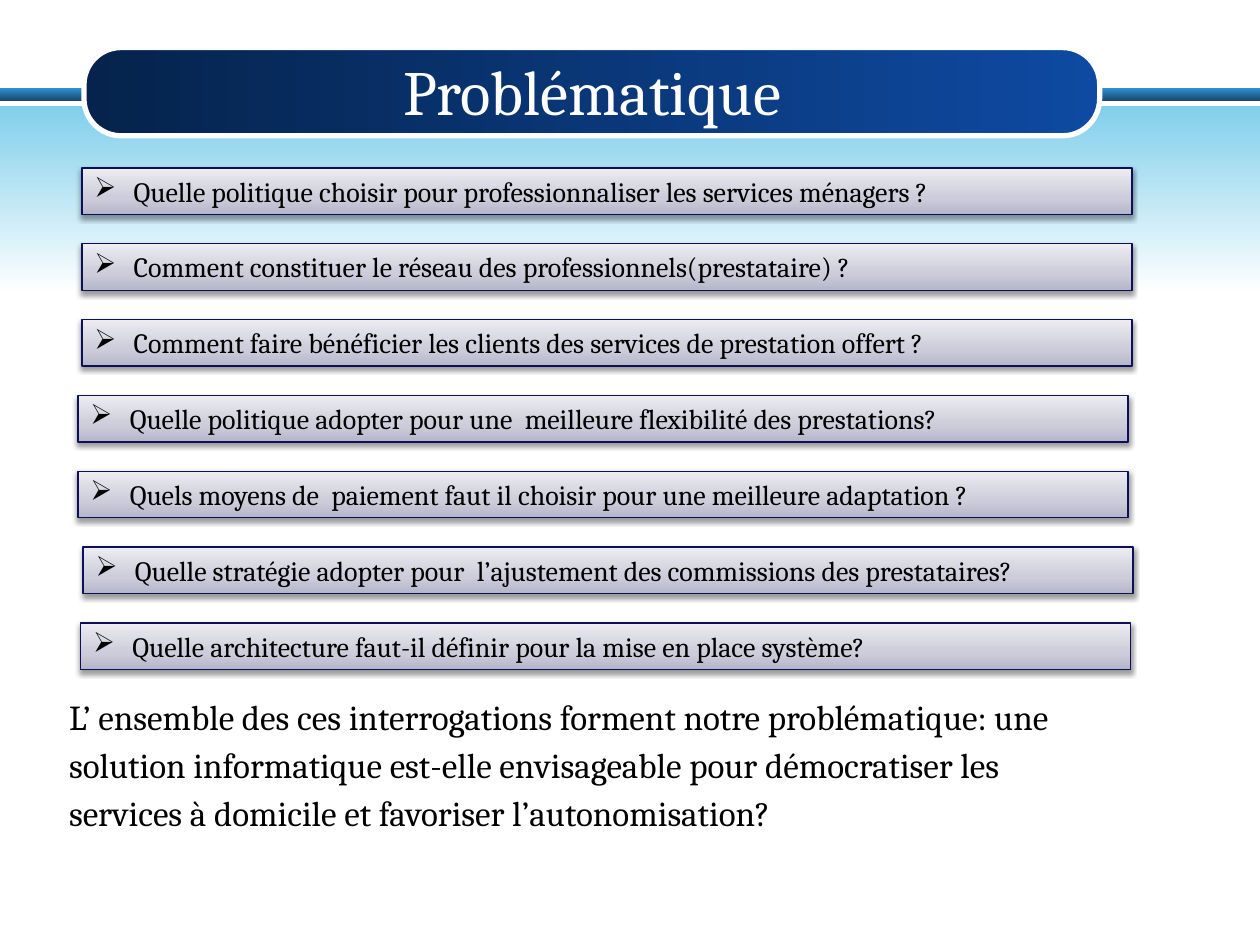
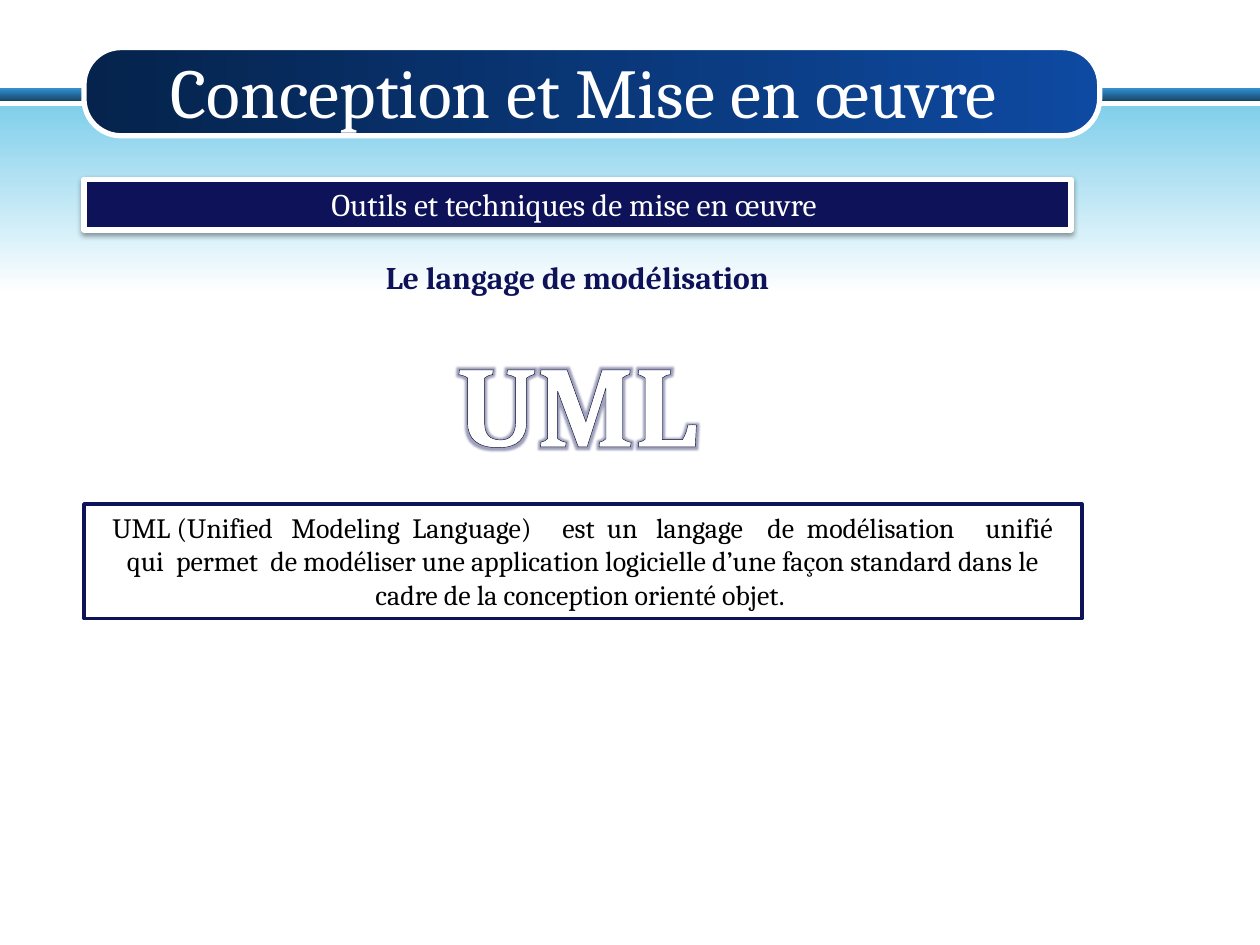
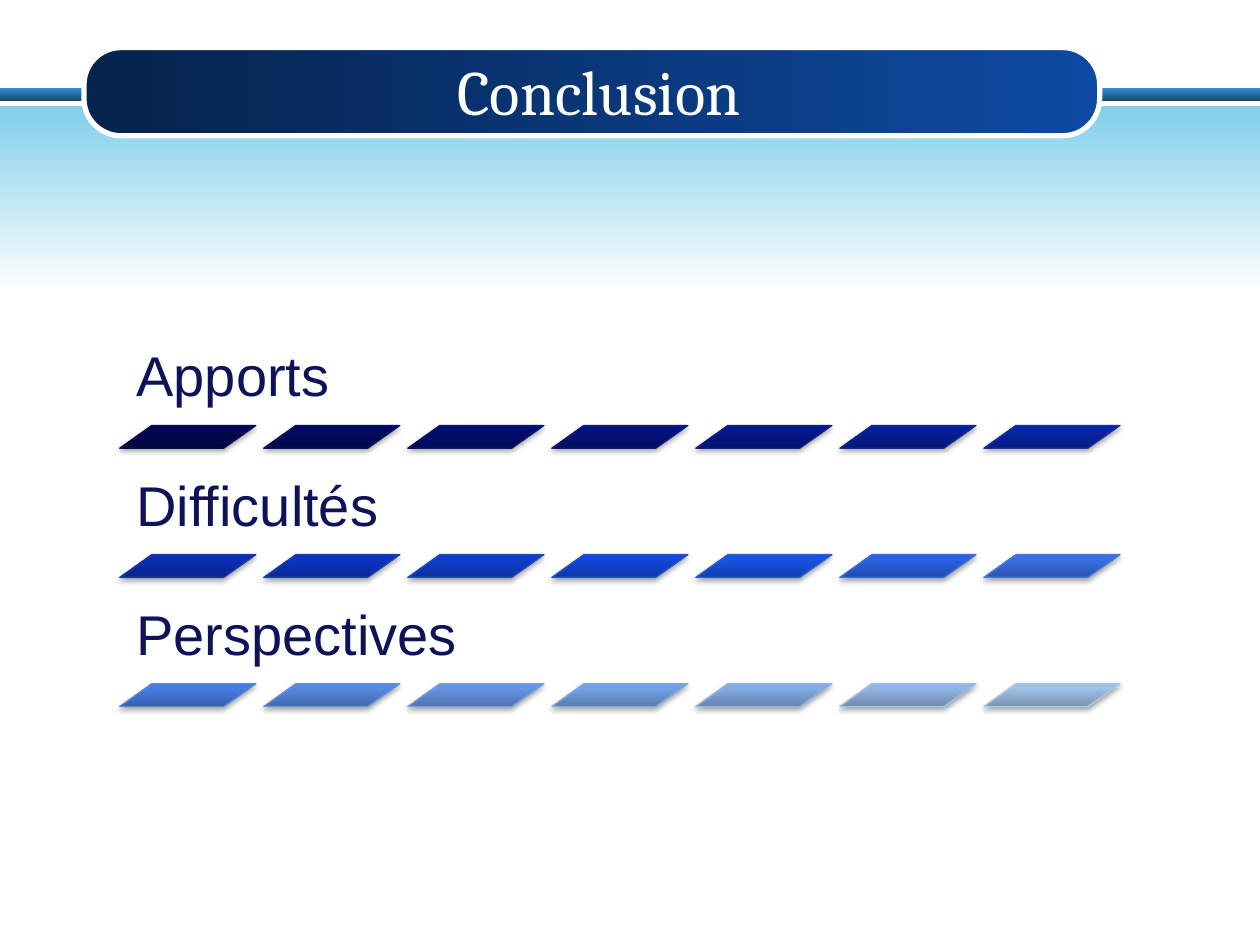
from lxml import etree
from pptx import Presentation
from pptx import util as u
from pptx.dml.color import RGBColor
from pptx.enum import shapes, text
from pptx.oxml import ns

Pt = u.Pt
KIND = shapes.MSO_SHAPE
CENTER = text.PP_ALIGN.CENTER
LEFT = text.PP_ALIGN.LEFT
TOP = text.MSO_ANCHOR.TOP
SERIF = "Cambria"
NAVY, WHITE, BLACK = "0D1259", "FFFFFF", "000000"
SILVER = [(0, "B6B6CB"), (35, "CCCCDA"), (100, "ECECF1")]

QUESTIONS = [  # left edge, wording
    (46.8, "Quelle politique choisir pour professionnaliser les services ménagers ?"),
    (46.8, "Comment constituer le réseau des professionnels(prestataire) ?"),
    (46.8, "Comment faire bénéficier les clients des services de prestation offert ?"),
    (44.6, "Quelle politique adopter pour une  meilleure flexibilité des prestations?"),
    (44.6, "Quels moyens de  paiement faut il choisir pour une meilleure adaptation ?"),
    (47.5, "Quelle stratégie adopter pour  l’ajustement des commissions des prestataires?"),
    (46.1, "Quelle architecture faut-il définir pour la mise en place système?"),
]
SUMMARY = ("L’ ensemble des ces interrogations forment notre problématique: une solution "
           "informatique est-elle envisageable pour démocratiser les services à domicile "
           "et favoriser l’autonomisation?")
UML_TEXT = ("UML (Unified   Modeling  Language)     est  un   langage    de  modélisation     "
            "unifié qui  permet  de modéliser une application logicielle d’une façon standard "
            "dans le cadre de la conception orienté objet. ")

TOPICS = ["Apports", "Difficultés", "Perspectives"]
BARS_PER_TOPIC = 7
BAR_FILLS = """000651 000961 010D70 02127E 03188C 051E9A 0725A7
    092DB5 0B35C2 0E3ECF 1147DB 1852E4 2861E3 386FE3
    477CE3 5789E3 6695E3 74A1E4 83ACE5 91B6E6 9FC0E7""".split()
BAR_EDGES = """090E4B 0B1359 0E1866 111E73 142480 172B8D 1A329A
    1E3AA6 2142B2 254BBE 2954CA 315FD3 3F6DD4 4E7AD6
    5C86D7 6A92D9 789EDB 85A9DE 93B3E0 A0BDE3 ADC7E6""".split()


def rgb(value):
    return RGBColor.from_string(value)


def darker(value, factor=0.77):
    return "".join(f"{round(channel * factor):02X}" for channel in rgb(value))


def node(parent, tag, **attributes):
    child = etree.SubElement(parent, ns.qn(tag))
    for name, value in attributes.items():
        child.set(name, str(value))
    return child


def add_color(parent, value, alpha=None):
    color = node(parent, "a:srgbClr", val=value)
    if alpha is not None:
        node(color, "a:alpha", val=alpha * 1000)


def add_gradient(parent, stops, angle):
    gradient = node(parent, "a:gradFill", rotWithShape=1)
    stop_list = node(gradient, "a:gsLst")
    for position, value in stops:
        add_color(node(stop_list, "a:gs", pos=position * 1000), value)
    node(gradient, "a:lin", ang=angle * 60000, scaled=0)
    return gradient


def add_block(slide, kind, area, fill, angle=0, edge=None, edge_width=0.75, shadow=None):
    """Preset shape; fill is a hex string or a list of gradient stops."""
    block = slide.shapes.add_shape(kind, *map(Pt, area))
    properties = block.element.spPr
    if isinstance(fill, str):
        block.fill.solid()
        block.fill.fore_color.rgb = rgb(fill)
    else:
        block.fill.background()
        empty_fill = properties.find(ns.qn("a:noFill"))
        properties.replace(empty_fill, add_gradient(properties, fill, angle))
    if edge:
        block.line.color.rgb = rgb(edge)
        block.line.width = Pt(edge_width)
    else:
        block.line.fill.background()
    block.shadow.inherit = False
    if shadow:
        effects = properties.find(ns.qn("a:effectLst"))
        outer = node(effects, "a:outerShdw", blurRad=Pt(3.1), dist=Pt(1.6),
                     dir=90 * 60000, rotWithShape=0)
        add_color(outer, BLACK, shadow)
    return block


def write(box, wording, size, color=None, align=LEFT, font=SERIF, bold=False,
          bullet=None, spacing=None, anchor=TOP):
    frame = box.text_frame
    frame.text = wording
    frame.word_wrap = True
    frame.vertical_anchor = anchor
    para = frame.paragraphs[0]
    para.alignment = align
    if spacing:
        para.line_spacing = spacing
    if bullet:
        settings = para._p.get_or_add_pPr()
        settings.set("marL", str(Pt(22.5)))
        settings.set("indent", str(-Pt(22.5)))
        node(settings, "a:buChar", char=bullet)
    span = para.runs[0]
    span.font.name = font
    span.font.size = Pt(size)
    span.font.bold = bold
    if color:
        span.font.color.rgb = rgb(color)
    return span


def add_text(slide, area, wording, size, color=None, **style):
    box = slide.shapes.add_textbox(*map(Pt, area))
    return box, write(box, wording, size, color, **style)


def set_up_layout(layout, slide):
    """Put the shared bands behind the layout title and place that title."""
    bands = [
        add_block(slide, KIND.RECTANGLE, (0, 50.4, 720, 7.2),
                  [(0, "3191D3"), (100, "184769")], 90),
        add_block(slide, KIND.RECTANGLE, (0, 60.5, 720, 107.3),
                  [(0, "81CFEB"), (100, WHITE)], 90),
        add_block(slide, KIND.ROUNDED_RECTANGLE, (48, 27.2, 580.4, 50.4),
                  [(0, "05234C"), (100, "0E4AA2")], 0, WHITE, 3),
    ]
    bands[2].adjustments[0] = 0.42
    for index, band in enumerate(bands):
        layout.shapes.element.insert(2 + index, band.element)
    title = layout.placeholders[0]
    title.left, title.top, title.width, title.height = map(Pt, (66.2, 29.5, 552.2, 44.6))


def set_title(slide, wording, size=36):
    write(slide.shapes.title, wording, size, WHITE, align=CENTER,
          anchor=text.MSO_ANCHOR.MIDDLE)
    slide.shapes.title.text_frame.auto_size = text.MSO_AUTO_SIZE.NONE


def add_glow_word(slide, area, wording):
    _, span = add_text(slide, area, wording, 66, align=CENTER, bold=True)
    properties = span.font._element if hasattr(span.font, "_element") else span._r.get_or_add_rPr()
    outline = node(properties, "a:ln", w=Pt(0.83))
    add_color(node(outline, "a:solidFill"), "06092C")
    stops = [(0, WHITE), (9, WHITE), (50, "7F7F7F"), (79, WHITE), (100, WHITE)]
    gradient = add_gradient(properties, stops, 90)
    effects = node(properties, "a:effectLst")
    add_color(node(effects, "a:glow", rad=Pt(4.5)), NAVY, 40)
    for index, part in enumerate((outline, gradient, effects)):
        properties.insert(index, part)


def fill_questions(slide):
    set_title(slide, "Problématique ")
    for row, (left, question) in enumerate(QUESTIONS):
        block = add_block(slide, KIND.RECTANGLE, (left, 96 + 43.33 * row, 600, 26.6),
                          SILVER, 270, "0B1059", shadow=38)
        write(block, question, 16, BLACK, bullet="➢")
    add_text(slide, (32.4, 390.2, 612, 90.7), SUMMARY, 20, BLACK, spacing=1.15)


def fill_modelling(slide):
    set_title(slide, "Conception et Mise en œuvre  ", 40)
    heading = add_block(slide, KIND.RECTANGLE, (48, 102.4, 564, 29), NAVY,
                        edge=WHITE, edge_width=3, shadow=38)
    write(heading, "Outils et techniques de mise en œuvre ", 18, WHITE, align=CENTER)
    add_text(slide, (48, 144, 564, 29), "Le langage de modélisation", 18, NAVY,
             align=CENTER, bold=True)
    add_glow_word(slide, (242.6, 185.8, 174.2, 87.1), "UML")
    definition = add_block(slide, KIND.RECTANGLE, (48, 288, 570.2, 65.5), WHITE,
                           edge=NAVY, edge_width=2)
    write(definition, UML_TEXT, 16, BLACK, align=CENTER)


def fill_conclusion(slide):
    set_title(slide, "Conclusion")
    for row, topic in enumerate(TOPICS):
        top = 190.1 + 73.8 * row
        box, _ = add_text(slide, (68.4, top, 583.2, 53.3), topic, 32, NAVY, font="Arial",
                          spacing=0.9, anchor=text.MSO_ANCHOR.BOTTOM)
        frame = box.text_frame
        frame.margin_left = frame.margin_right = Pt(9.6)
        frame.margin_top = frame.margin_bottom = Pt(9.6)
        for column in range(BARS_PER_TOPIC):
            index = row * BARS_PER_TOPIC + column
            color = BAR_FILLS[index]
            stops = [(0, darker(color)), (80, color), (100, color)]
            bar = add_block(slide, KIND.PARALLELOGRAM,
                            (68.4 + 82.3 * column, top + 53, 77.8, 13), stops, 270,
                            BAR_EDGES[index], shadow=35)
            bar.adjustments[0] = 1.41


def main():
    deck = Presentation()
    deck.slide_width, deck.slide_height = Pt(720), Pt(540)
    layout = deck.slide_layouts.get_by_name("Title Only")
    pages = [deck.slides.add_slide(layout) for _ in range(3)]
    set_up_layout(layout, pages[0])
    for fill_page, page in zip((fill_questions, fill_modelling, fill_conclusion), pages):
        fill_page(page)
    deck.save("out.pptx")


if __name__ == "__main__":
    main()
